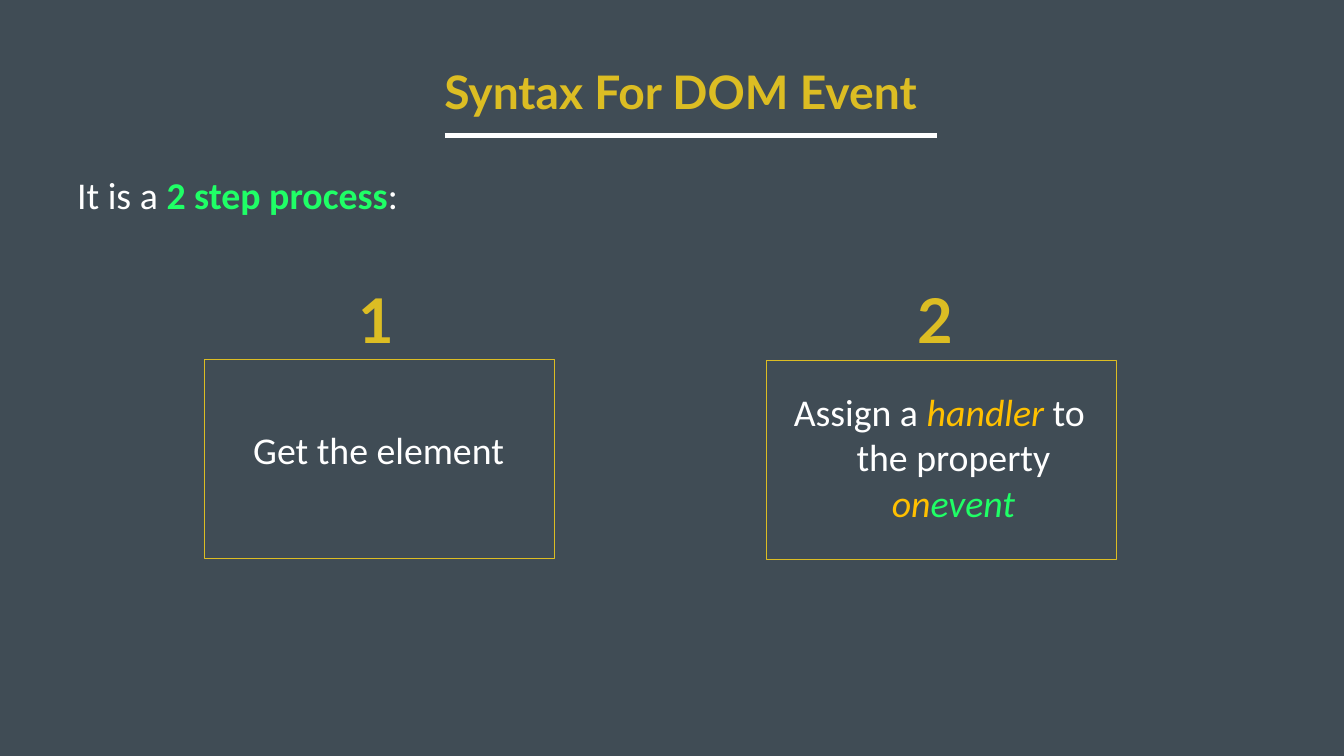
from pptx import Presentation
from pptx.dml.color import RGBColor as RGB
from pptx.enum.shapes import MSO_CONNECTOR as LINK, MSO_SHAPE as SHAPE
from pptx.enum.text import MSO_ANCHOR as ANCHOR, MSO_AUTO_SIZE as FIT, PP_ALIGN as ALIGN
from pptx.oxml.xmlchemy import OxmlElement
from pptx.util import Inches, Pt

COLORS = {"back": "404C55", "gold": "DCBD23", "white": "FFFFFF",
          "green": "1FFF66", "amber": "FFC000"}


def color(name):
    return RGB.from_string(COLORS[name])


def add_text(place, runs, size=54, font="Calibri", wrap=False, hang=False):
    """Add centred text; each run is (words, colour, style letters b and i)."""
    box = slide.shapes.add_textbox(*map(Inches, place))
    frame = box.text_frame
    frame.word_wrap = wrap
    frame.auto_size = FIT.SHAPE_TO_FIT_TEXT
    para = frame.paragraphs[0]
    para.alignment = ALIGN.CENTER
    if hang:
        props = para._p.get_or_add_pPr()
        props.set("marL", str(Inches(0.56)))
        props.set("indent", str(Inches(-0.56)))
    for words, tint, style in runs:
        run = para.add_run()
        run.text = words
        run.font.name = font
        run.font.size = Pt(size)
        run.font.bold = "b" in style
        run.font.italic = "i" in style
        run.font.color.rgb = color(tint)
    return frame


deck = Presentation()
deck.slide_width, deck.slide_height = Inches(26.67), Inches(15)
slide = deck.slides.add_slide(deck.slide_layouts[6])
slide.background.fill.solid()
slide.background.fill.fore_color.rgb = color("back")

# Title and its underline
add_text((8.41, 1.2, 10.19, 1.21), [("Syntax For DOM Event", "gold", "b")], 66, "Lato")
rule = slide.shapes.add_connector(LINK.STRAIGHT, Inches(8.83), Inches(2.69),
                                  Inches(18.6), Inches(2.69))
rule.line.color.rgb = color("white")
rule.line.width = Pt(8)
rule._element.spPr.append(OxmlElement("a:effectLst"))

add_text((1.36, 3.35, 6.71, 1.01), [("It is a ", "white", ""),
                                    ("2 step process", "green", "b"),
                                    (":", "white", "")])

# Step texts
add_text((4.89, 8.41, 5.25, 1.01), [("Get the element", "white", "")], hang=True)
add_text((15.4, 7.66, 6.48, 2.83), [("Assign a ", "white", ""),
                                    ("handler", "amber", "i"),
                                    (" to the property ", "white", ""),
                                    ("on", "amber", "i"),
                                    ("event", "green", "i")], wrap=True, hang=True)

# Step frames with their numbers above
steps = [("1", 4.05, 7.14, 7.03), ("2", 15.2, 7.16, 18.12)]
for digit, left, top, mark in steps:
    card = slide.shapes.add_shape(SHAPE.RECTANGLE, Inches(left), Inches(top),
                                  Inches(6.95), Inches(3.94))
    card.shadow.inherit = False
    card.fill.background()
    card.line.color.rgb = color("gold")
    card.line.width = Pt(1)

    frame = add_text((mark, 5.5, 0.84, 1.64), [(digit, "gold", "b")], 88, "Lato")
    frame.vertical_anchor = ANCHOR.MIDDLE
    frame.margin_left = frame.margin_right = Inches(0.08)
    frame.margin_top = frame.margin_bottom = Inches(0.08)

deck.save("out.pptx")
